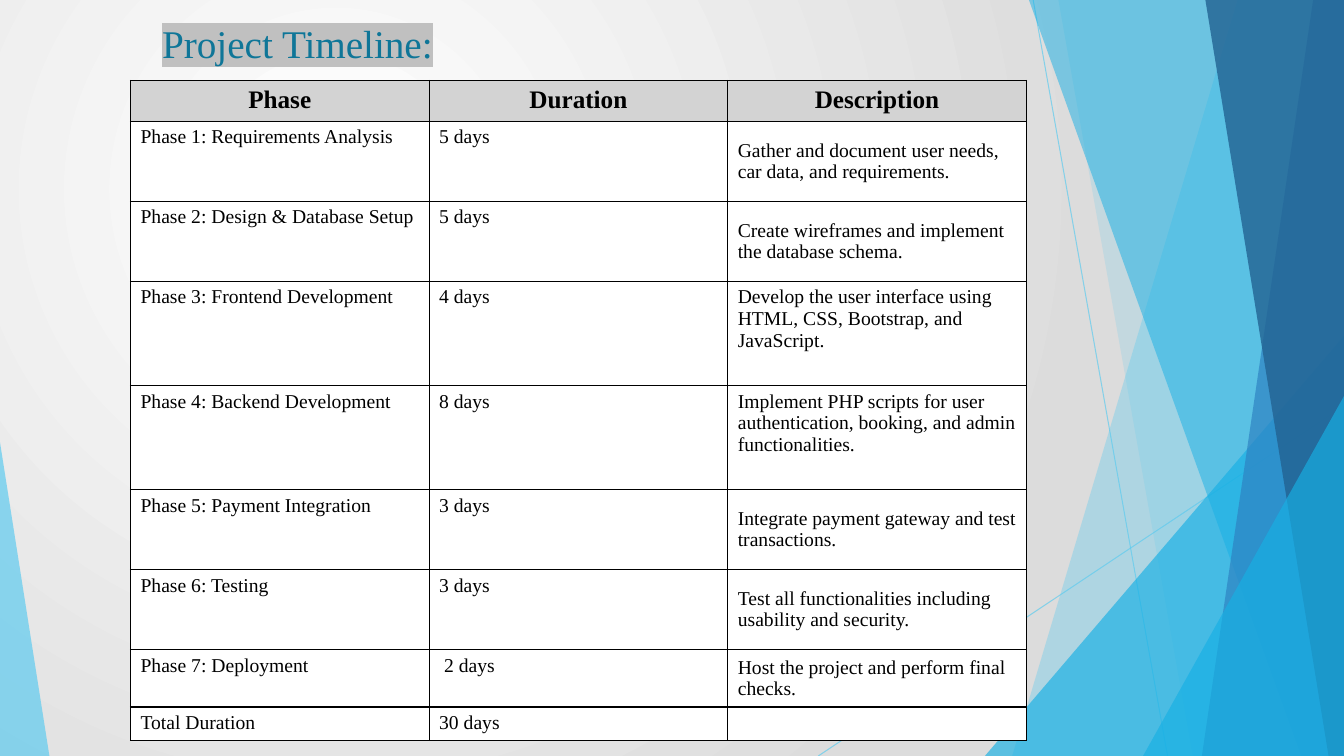
from lxml import etree
from pptx import Presentation
from pptx import util as u
from pptx.dml.color import RGBColor
from pptx.enum import shapes, text
from pptx.oxml import ns

COLORS = {
    "white": "FFFFFF", "mist": "DCDCDC", "black": "000000", "header": "D3D3D3",
    "title": "0F7698", "highlight": "C0C0C0", "sky": "5FCBEF", "azure": "17B0E4",
    "blue": "2E83C3", "navy": "226292",
}
FONT = "Times New Roman"
WIDTH, HEIGHT = 960, 540

ROWS = [
    ("Phase", "Duration", "Description"),
    ("Phase 1: Requirements Analysis", "5 days",
     "Gather and document user needs, car data, and requirements."),
    ("Phase 2: Design & Database Setup", "5 days",
     "Create wireframes and implement the database schema."),
    ("Phase 3: Frontend Development", "4 days",
     "Develop the user interface using HTML, CSS, Bootstrap, and JavaScript."),
    ("Phase 4: Backend Development", "8 days",
     "Implement PHP scripts for user authentication, booking, and admin functionalities."),
    ("Phase 5: Payment Integration", "3 days",
     "Integrate payment gateway and test transactions."),
    ("Phase 6: Testing", "3 days",
     "Test all functionalities including usability and security."),
    ("Phase 7: Deployment", " 2 days", "Host the project and perform final checks."),
    ("Total Duration", "30 days", ""),
]
ROW_HEIGHTS = [29.3, 57.15, 57.15, 74.3, 74.3, 57.15, 57.15, 41, 23.9]
MIDDLE_ROWS = {1, 2, 5, 6, 7}


def rgb(name):
    return RGBColor.from_string(COLORS[name])


def add_color(parent, tag, name):
    holder = etree.SubElement(parent, ns.qn(tag))
    return etree.SubElement(holder, ns.qn("a:srgbClr"), val=COLORS[name])


class SlideBuilder:
    def __init__(self, slide):
        self.slide = slide

    def background(self, inner, outer):
        fill = self.slide.background.fill
        fill.gradient()
        for stop, name, position in zip(fill.gradient_stops, (inner, outer), (0, 1)):
            stop.color.rgb = rgb(name)
            stop.position = position
        gradient = self.slide.element.find(".//" + ns.qn("a:gradFill"))
        gradient.remove(gradient.find(ns.qn("a:lin")))
        circle = etree.SubElement(gradient, ns.qn("a:path"), path="circle")
        etree.SubElement(circle, ns.qn("a:fillToRect"),
                         l="50000", t="50000", r="100000", b="100000")

    def set_opacity(self, shape, percent):
        color = shape.element.spPr.find(".//" + ns.qn("a:srgbClr"))
        etree.SubElement(color, ns.qn("a:alpha"), val=str(percent * 1000))

    def paint(self, shape, color, opacity):
        shape.shadow.inherit = False
        shape.fill.solid()
        shape.fill.fore_color.rgb = rgb(color)
        shape.line.fill.background()
        self.set_opacity(shape, opacity)

    def line(self, start, end, color, opacity):
        points = [u.Pt(value) for value in start + end]
        connector = self.slide.shapes.add_connector(
            shapes.MSO_CONNECTOR.STRAIGHT, *points)
        connector.line.color.rgb = rgb(color)
        connector.line.width = u.Pt(0.75)
        self.set_opacity(connector, opacity)
        etree.SubElement(connector.element.spPr, ns.qn("a:effectLst"))

    def panel(self, top_x, bottom_x, color, opacity):
        corners = [(WIDTH, 0), (WIDTH, HEIGHT), (bottom_x, HEIGHT)]
        builder = self.slide.shapes.build_freeform(u.Pt(top_x), 0)
        builder.add_line_segments([(u.Pt(x), u.Pt(y)) for x, y in corners])
        self.paint(builder.convert_to_shape(), color, opacity)

    def triangle(self, left, top, width, apex, color, opacity):
        shape = self.slide.shapes.add_shape(
            shapes.MSO_SHAPE.ISOSCELES_TRIANGLE,
            u.Pt(left), u.Pt(top), u.Pt(width), u.Pt(HEIGHT - top))
        shape.adjustments[0] = apex
        self.paint(shape, color, opacity)

    def style(self, paragraph, size, color, bold=False):
        font = paragraph.font
        font.name, font.size, font.bold = FONT, u.Pt(size), bold
        font.color.rgb = rgb(color)

    def title(self, wording, left, top, width, height):
        box = self.slide.shapes.add_textbox(
            u.Pt(left), u.Pt(top), u.Pt(width), u.Pt(height))
        frame = box.text_frame
        frame.word_wrap = False
        frame.auto_size = text.MSO_AUTO_SIZE.SHAPE_TO_FIT_TEXT
        paragraph = frame.paragraphs[0]
        run = paragraph.add_run()
        run.text = wording
        self.style(paragraph, 28, "title")
        add_color(run.font._element, "a:highlight", "highlight")

    def border(self, cell):
        properties = cell._tc.get_or_add_tcPr()
        for index, side in enumerate(("lnL", "lnR", "lnT", "lnB")):
            edge = etree.Element(ns.qn("a:" + side), w=str(u.Pt(1)))
            add_color(edge, "a:solidFill", "black")
            properties.insert(index, edge)

    def cell(self, cell, wording, header, middle):
        cell.fill.solid()
        cell.fill.fore_color.rgb = rgb("header" if header else "white")
        self.border(cell)
        if middle:
            cell.vertical_anchor = text.MSO_ANCHOR.MIDDLE
        paragraph = cell.text_frame.paragraphs[0]
        self.style(paragraph, 18 if header else 14, "black", header)
        if header:
            paragraph.alignment = text.PP_ALIGN.CENTER
        if wording:
            paragraph.add_run().text = wording
        else:
            etree.SubElement(paragraph._p, ns.qn("a:endParaRPr"), sz="1400")

    def table(self, rows, heights, left, top, width):
        columns = len(rows[0])
        table = self.slide.shapes.add_table(
            len(rows), columns, u.Pt(left), u.Pt(top),
            u.Pt(width), u.Pt(sum(heights))).table
        table.first_row = table.horz_banding = False
        for column in table.columns:
            column.width = u.Pt(width / columns)
        for row, (wordings, height) in enumerate(zip(rows, heights)):
            table.rows[row].height = u.Pt(height)
            for column, wording in enumerate(wordings):
                middle = column == 2 and row in MIDDLE_ROWS
                self.cell(table.cell(row, column), wording, row == 0, middle)


def main():
    presentation = Presentation()
    presentation.slide_width, presentation.slide_height = u.Pt(WIDTH), u.Pt(HEIGHT)
    slide = SlideBuilder(presentation.slides.add_slide(presentation.slide_layouts[6]))
    slide.background("white", "mist")
    slide.line((738, 0), (834, HEIGHT), "sky", 70)
    slide.line((WIDTH, 290), (584.5, HEIGHT), "sky", 70)
    slide.panel(884, 723, "sky", 36)
    slide.panel(756, 852, "sky", 20)
    slide.triangle(703.5, 240, 256.5, 1, "azure", 66)
    slide.panel(735, 929.5, "azure", 50)
    slide.panel(938, 858.5, "blue", 70)
    slide.panel(861, 949, "navy", 80)
    slide.triangle(816.5, 283, 143.5, 1, "azure", 66)
    slide.triangle(0, 316, 35.3, 0, "sky", 70)
    slide.title("Project Timeline:", 108.7, 10, 209.5, 41.2)
    slide.table(ROWS, ROW_HEIGHTS, 93.2, 57.5, 640)
    presentation.save("out.pptx")


if __name__ == "__main__":
    main()
